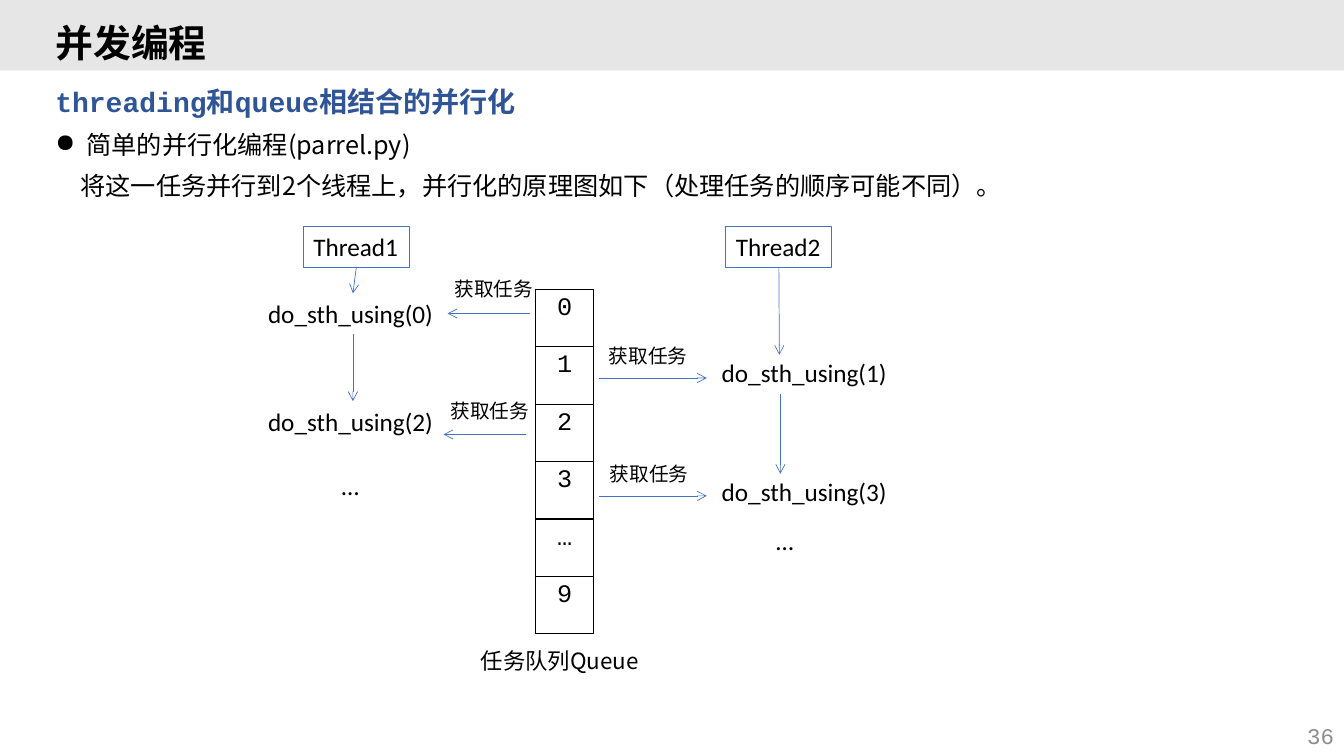
from lxml.etree import SubElement
from pptx import Presentation
from pptx.dml.color import RGBColor
from pptx.enum.shapes import MSO_CONNECTOR, MSO_SHAPE
from pptx.enum.text import MSO_ANCHOR, PP_ALIGN
from pptx.oxml.ns import qn
from pptx.util import Pt

PX = 9144
BLACK = RGBColor(0, 0, 0)
HEADER_GRAY = RGBColor(0xE7, 0xE6, 0xE6)
NUMBER_GRAY = RGBColor(0x8C, 0x8C, 0x8C)
HEADING_BLUE = RGBColor(0x2F, 0x55, 0x97)
LINE_BLUE = RGBColor(0x44, 0x72, 0xC4)
MONO, SANS, CHINESE = "Courier New", "Calibri", "Noto Sans CJK SC"
TOP, BOTTOM, RIGHT = 0, 2, 3


def px(*lengths):
    """Turn whole pixels into EMU."""
    return [length * PX for length in lengths]


def write(paragraph, text, size, font, color=BLACK, bold=False):
    """Fill a paragraph with text in one style."""
    paragraph.text = text
    paragraph.font.size = Pt(size)
    paragraph.font.name = font
    paragraph.font.bold = bold
    paragraph.font.color.rgb = color
    properties = paragraph.font._element
    SubElement(properties, qn("a:ea")).set("typeface", CHINESE)


def add_text(slide, box, text, size, font, color=BLACK):
    """Add a one-line text box."""
    shape = slide.shapes.add_textbox(*px(*box))
    shape.text_frame.word_wrap = False
    write(shape.text_frame.paragraphs[0], text, size, font, color)
    return shape


def add_thread(slide, left, name):
    """Add an outlined thread box."""
    shape = add_text(slide, (left, 225, 105, 40), name, 18, SANS)
    shape.line.color.rgb = LINE_BLUE
    shape.line.width = Pt(0.75)
    return shape


def add_call(slide, left, top, number):
    """Add the label of one function call."""
    return add_text(slide, (left, top, 188, 40), f"do_sth_using({number})", 18, SANS)


def add_arrow(slide, start, end, source=None, target=None):
    """Add an arrow, joined to shape sides where given."""
    arrow = slide.shapes.add_connector(MSO_CONNECTOR.STRAIGHT, *px(*start, *end))
    if source:
        arrow.begin_connect(*source)
    if target:
        arrow.end_connect(*target)
    arrow.line.color.rgb = LINE_BLUE
    arrow.line.width = Pt(0.5)
    SubElement(arrow.line._get_or_add_ln(), qn("a:tailEnd")).set("type", "arrow")
    SubElement(arrow._element.spPr, qn("a:effectLst"))


def add_header(slide, text):
    """Place the title on a gray bar."""
    bar = slide.shapes.add_shape(MSO_SHAPE.RECTANGLE, *px(0, 0, 1333, 70))
    bar.shadow.inherit = False
    bar.fill.solid()
    bar.fill.fore_color.rgb = HEADER_GRAY
    bar.line.fill.background()
    title = slide.shapes.title
    title.element.addprevious(bar.element)
    title.left, title.top, title.width, title.height = px(45, 11, 1251, 68)
    title.text_frame.vertical_anchor = MSO_ANCHOR.MIDDLE
    paragraph = title.text_frame.paragraphs[0]
    paragraph.alignment = PP_ALIGN.LEFT
    paragraph.line_spacing = 0.9
    write(paragraph, text, 27, MONO, bold=True)


def add_body(slide):
    """Add the heading, the bullet and its explanation."""
    frame = slide.shapes.add_textbox(*px(45, 83, 1251, 130)).text_frame
    frame.word_wrap = True
    heading, bullet, detail = frame.paragraphs[0], frame.add_paragraph(), frame.add_paragraph()
    for paragraph in (heading, bullet, detail):
        paragraph.space_before = Pt(10)
        paragraph.line_spacing = 0.9
    properties = bullet._p.get_or_add_pPr()
    properties.set("marL", str(31 * PX))
    properties.set("indent", str(-31 * PX))
    SubElement(properties, qn("a:buChar")).set("char", "●")
    detail._p.get_or_add_pPr().set("marL", str(25 * PX))
    write(heading, "threading和queue相结合的并行化", 20, MONO, HEADING_BLUE, True)
    write(bullet, "简单的并行化编程(parrel.py)", 18, CHINESE)
    write(detail, "将这一任务并行到2个线程上，并行化的原理图如下（处理任务的顺序可能不同）。", 18, CHINESE)


def add_borders(cell):
    """Draw thin black borders and no fill."""
    properties = cell._tc.get_or_add_tcPr()
    for side in ("lnL", "lnR", "lnT", "lnB"):
        line = SubElement(properties, qn(f"a:{side}"))
        line.set("w", str(Pt(1)))
        fill = SubElement(line, qn("a:solidFill"))
        SubElement(fill, qn("a:srgbClr")).set("val", str(BLACK))
    cell.fill.background()


def add_queue(slide, items):
    """Add the task queue as a one-column table."""
    table = slide.shapes.add_table(len(items), 1, *px(531, 287, 58, 57 * len(items))).table
    table.first_row = table.horz_banding = False
    for row, item in enumerate(items):
        cell = table.cell(row, 0)
        paragraph = cell.text_frame.paragraphs[0]
        paragraph.alignment = PP_ALIGN.CENTER
        write(paragraph, item, 18, MONO)
        add_borders(cell)
    add_text(slide, (467, 637, 182, 37), "任务队列Queue", 16, CHINESE)


def add_flow(slide):
    """Add both threads, their calls and the arrows."""
    thread1 = add_thread(slide, 301, "Thread1")
    thread2 = add_thread(slide, 720, "Thread2")
    call0 = add_call(slide, 256, 291, 0)
    call2 = add_call(slide, 256, 398, 2)
    add_call(slide, 706, 350, 1)
    add_call(slide, 706, 468, 3)
    add_arrow(slide, (353, 265), (350, 291), (thread1, BOTTOM), (call0, TOP))
    add_arrow(slide, (350, 331), (350, 398), (call0, BOTTOM), (call2, TOP))
    add_arrow(slide, (773, 265), (773, 352), (thread2, BOTTOM))
    add_arrow(slide, (774, 391), (774, 470))
    add_arrow(slide, (526, 311), (444, 311), target=(call0, RIGHT))
    add_arrow(slide, (522, 431), (440, 431))
    for y in (375, 492):
        add_arrow(slide, (594, y), (701, y))
    for left, top in ((441, 270), (594, 336), (437, 391), (595, 453)):
        add_text(slide, (left, top, 99, 34), "获取任务", 14, CHINESE)
    for left, top in ((329, 462), (760, 516)):
        add_text(slide, (left, top, 38, 40), "…", 18, SANS)


def main():
    """Build and save the slide."""
    presentation = Presentation()
    presentation.slide_width, presentation.slide_height = px(1333, 750)
    slide = presentation.slides.add_slide(presentation.slide_layouts[5])
    add_header(slide, "并发编程")
    add_body(slide)
    number = add_text(slide, (1033, 710, 300, 40), "36", 16, MONO, NUMBER_GRAY)
    number.text_frame.word_wrap = True
    number.text_frame.vertical_anchor = MSO_ANCHOR.MIDDLE
    number.text_frame.paragraphs[0].alignment = PP_ALIGN.RIGHT
    add_queue(slide, ("0", "1", "2", "3", "…", "9"))
    add_flow(slide)
    presentation.save("out.pptx")


if __name__ == "__main__":
    main()
